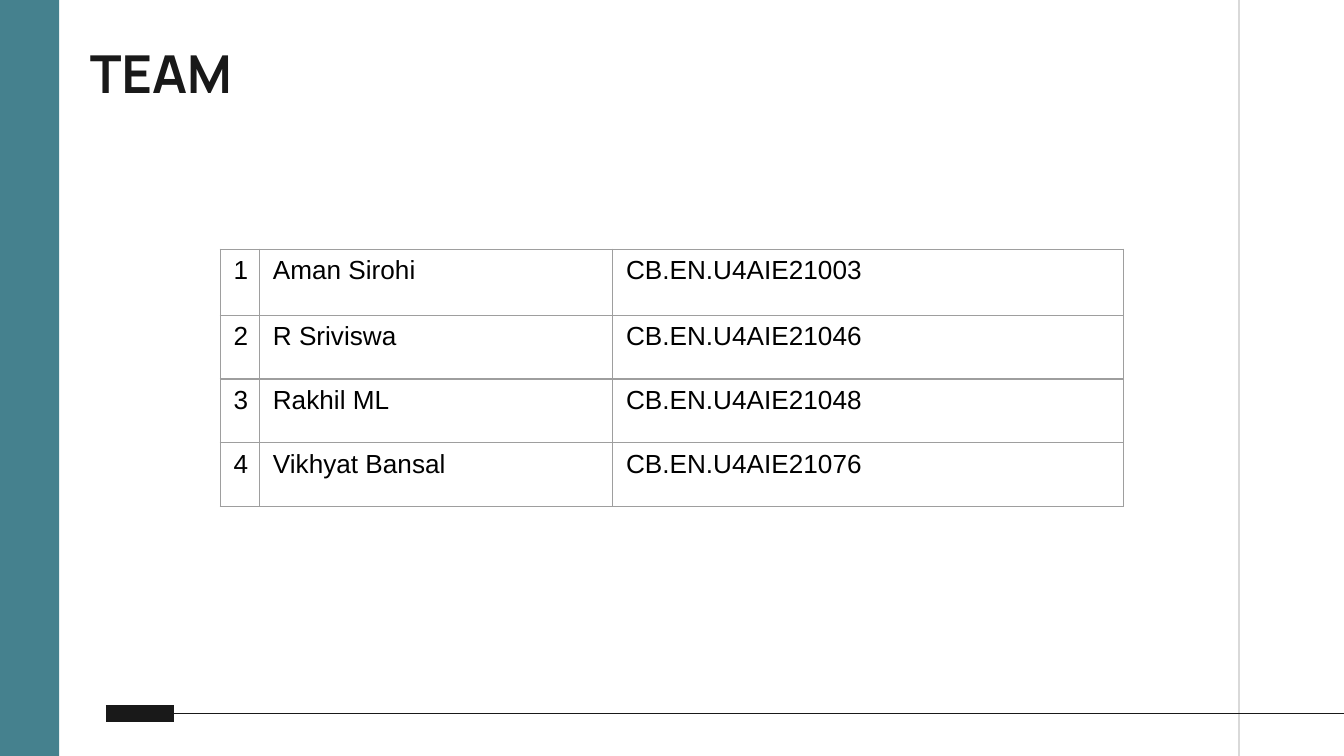
"""Build the team slide with its member table."""
from lxml import etree
from pptx import Presentation
from pptx.dml.color import RGBColor
from pptx.enum import shapes, text
from pptx.oxml import ns
from pptx.util import Pt

WHITE = RGBColor(0xFF, 0xFF, 0xFF)
BLACK = RGBColor(0x00, 0x00, 0x00)
INK = RGBColor(0x19, 0x19, 0x19)
TEAL = RGBColor(0x45, 0x81, 0x8E)
LIGHT_GRAY = RGBColor(0xD9, 0xD9, 0xD9)
BORDER_GRAY = RGBColor(0x9E, 0x9E, 0x9E)

MEMBERS = [
    ("Aman Sirohi", "CB.EN.U4AIE21003"),
    ("R Sriviswa", "CB.EN.U4AIE21046"),
    ("Rakhil ML", "CB.EN.U4AIE21048"),
    ("Vikhyat Bansal", "CB.EN.U4AIE21076"),
]


class SlideBuilder:
    title_font = "Manrope"
    body_font = "Arial"
    thin = 0.75

    def __init__(self, slide):
        self.slide = slide
        slide.background.fill.solid()
        slide.background.fill.fore_color.rgb = WHITE

    def style(self, paragraph, name, size, color, bold=False):
        paragraph.alignment = text.PP_ALIGN.LEFT
        font = paragraph.font
        font.name, font.size, font.bold = name, Pt(size), bold
        font.color.rgb = color

    def title(self, wording, left, top, width, height):
        shape = self.slide.shapes.title
        shape.left, shape.top = Pt(left), Pt(top)
        shape.width, shape.height = Pt(width), Pt(height)
        frame = shape.text_frame
        frame.text = wording
        frame.word_wrap = True
        frame.auto_size = text.MSO_AUTO_SIZE.NONE
        frame.vertical_anchor = text.MSO_ANCHOR.TOP
        frame.margin_left = frame.margin_right = Pt(7.2)
        frame.margin_top = frame.margin_bottom = Pt(7.2)
        self.style(frame.paragraphs[0], self.title_font, 28, INK, bold=True)

    def band(self, left, top, width, height, color):
        shape = self.slide.shapes.add_shape(
            shapes.MSO_SHAPE.RECTANGLE, Pt(left), Pt(top), Pt(width), Pt(height))
        shape.shadow.inherit = False
        shape.fill.solid()
        shape.fill.fore_color.rgb = color
        shape.line.fill.background()

    def line(self, start, end, color, weight=thin):
        connector = self.slide.shapes.add_connector(
            shapes.MSO_CONNECTOR.STRAIGHT, *map(Pt, start + end))
        connector.line.color.rgb = color
        connector.line.width = Pt(weight)
        properties = connector._element.spPr
        etree.SubElement(properties, ns.qn("a:effectLst"))

    def border(self, cell):
        properties = cell._tc.get_or_add_tcPr()
        for index, side in enumerate(("lnL", "lnR", "lnT", "lnB")):
            edge = etree.Element(ns.qn(f"a:{side}"), w=str(Pt(self.thin)))
            fill = etree.SubElement(edge, ns.qn("a:solidFill"))
            etree.SubElement(fill, ns.qn("a:srgbClr"), val=str(BORDER_GRAY))
            properties.insert(index, edge)

    def table(self, rows, left, top, widths, heights):
        table = self.slide.shapes.add_table(
            len(rows), len(widths), Pt(left), Pt(top),
            Pt(sum(widths)), Pt(sum(heights))).table
        table.first_row = table.horz_banding = False
        for column, width in zip(table.columns, widths):
            column.width = Pt(width)
        for row, height, values in zip(table.rows, heights, rows):
            row.height = Pt(height)
            for cell, value in zip(row.cells, values):
                cell.text = value
                cell.fill.background()
                self.style(cell.text_frame.paragraphs[0], self.body_font, 14, BLACK)
                self.border(cell)


def main():
    presentation = Presentation()
    presentation.slide_width, presentation.slide_height = Pt(720), Pt(405)
    slide = presentation.slides.add_slide(presentation.slide_layouts[5])
    builder = SlideBuilder(slide)
    builder.band(0, 0, 31.7, 405, TEAL)
    builder.line((663.8, -3), (663.8, 408), LIGHT_GRAY)
    builder.line((56.8, 382.2), (93.3, 382.2), INK, 9)
    builder.line((93.3, 382.2), (728.6, 382.2), INK)
    builder.title("TEAM", 41, 15.1, 607, 45.4)
    rows = [(str(number), *member) for number, member in enumerate(MEMBERS, 1)]
    builder.table(rows, 118, 133.5, [21, 189.2, 273.8], [35.4] + [34.2] * 3)
    presentation.save("out.pptx")


if __name__ == "__main__":
    main()
